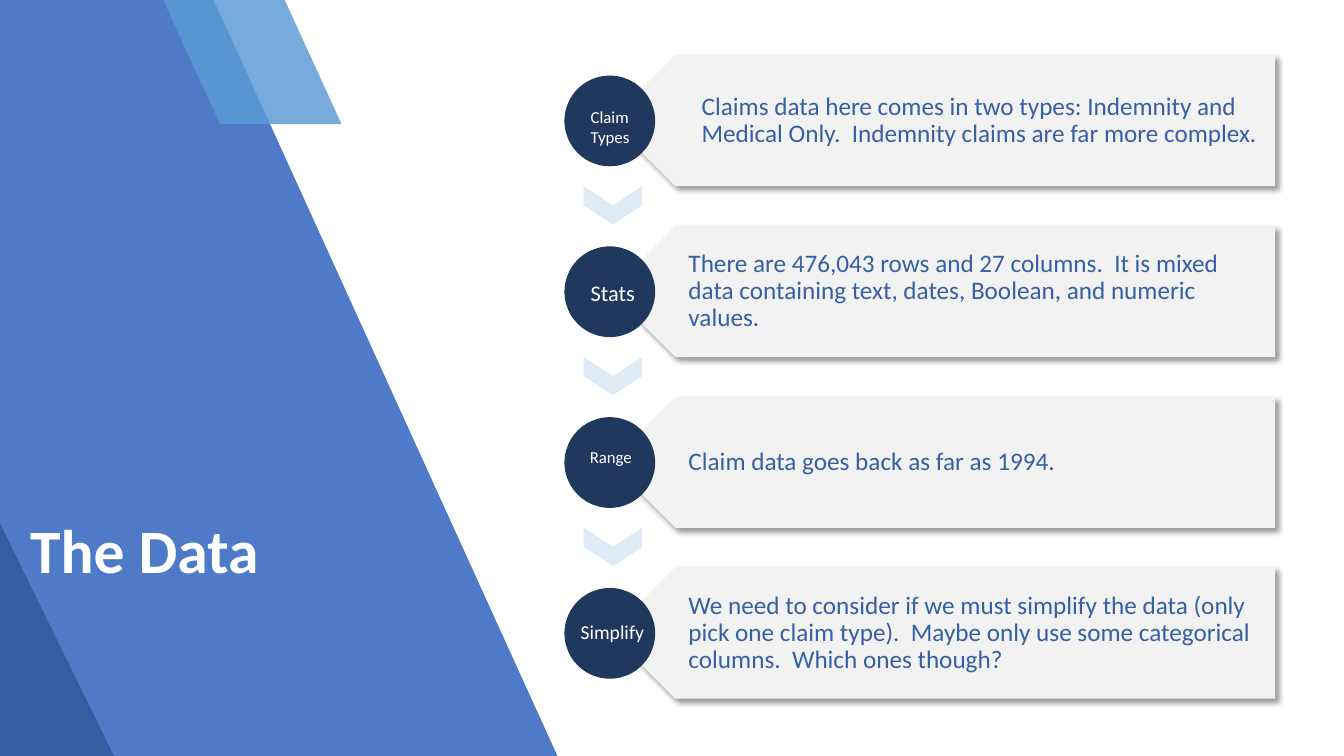
from pptx import Presentation
from pptx import util as u
from pptx.dml.color import RGBColor
from pptx.enum import shapes, text
from pptx.oxml import parse_xml
from pptx.oxml.ns import nsdecls, qn
from lxml import etree

Pt = u.Pt
FONT = "Calibri"
SLIDE_W, SLIDE_H = 960, 540
STEP = 122  # distance from one row to the next
CARD_H = 93.6

# circle label, label size, label left, label top, width, height, text inset, card text
ROWS = [
    ("Claim\nTypes", 12, 11.6, 33.2, 46, 36, 41.8,
     "Claims data here comes in two types: Indemnity and Medical Only.  "
     "Indemnity claims are far more complex."),
    ("Stats", 16, 11.6, 34.2, 46.8, 26.6, 32.4,
     "There are 476,043 rows and 27 columns.  It is mixed data containing "
     "text, dates, Boolean, and numeric values."),
    ("Range", 12, 11, 31.8, 46.8, 21.6, 32.4,
     "Claim data goes back as far as 1994."),
    ("Simplify", 14, 4.4, 33.6, 60.5, 24.5, 32.4,
     "We need to consider if we must simplify the data (only pick one claim "
     "type).  Maybe only use some categorical columns.  Which ones though?"),
]


def color(hex_code):
    return RGBColor.from_string(hex_code)


def paint(shape, hex_code, opacity=100):
    shape.shadow.inherit = False
    shape.fill.solid()
    shape.fill.fore_color.rgb = color(hex_code)
    shape.line.fill.background()
    if opacity < 100:
        tint = shape.element.spPr.find(".//" + qn("a:srgbClr"))
        etree.SubElement(tint, qn("a:alpha")).set("val", str(opacity * 1000))


def add_preset(slide, kind, left, top, width, height, hex_code, opacity=100):
    shape = slide.shapes.add_shape(kind, Pt(left), Pt(top), Pt(width), Pt(height))
    paint(shape, hex_code, opacity)
    return shape


def add_polygon(slide, points, hex_code, opacity):
    corners = [(Pt(x), Pt(y)) for x, y in points]
    builder = slide.shapes.build_freeform(*corners[0])
    builder.add_line_segments(corners[1:], close=True)
    paint(builder.convert_to_shape(), hex_code, opacity)


def add_text(slide, left, top, width, height, wording, size, hex_code):
    box = slide.shapes.add_textbox(Pt(left), Pt(top), Pt(width), Pt(height))
    frame = box.text_frame
    frame.text = wording
    for paragraph in frame.paragraphs:
        paragraph.font.name = FONT
        paragraph.font.size = Pt(size)
        paragraph.font.color.rgb = color(hex_code)
    return frame


def cast_shadow(shape):
    effects = shape.element.spPr.find(qn("a:effectLst"))
    effects.append(parse_xml(
        f'<a:outerShdw {nsdecls("a")} blurRad="{Pt(4)}" dist="{Pt(3)}" dir="2700000" '
        'algn="tl" rotWithShape="0"><a:srgbClr val="000000"><a:alpha val="40000"/>'
        '</a:srgbClr></a:outerShdw>'))


def title_panel(slide, left, top, width, height):
    # Slanted panel
    add_polygon(slide, [(left + width, top + height), (left + 152.6, top),
                        (left, top), (left, top + height)], "4472C4", 94)
    # Ribbon at the top
    ribbon = add_preset(slide, shapes.MSO_SHAPE.PARALLELOGRAM,
                        left + 116.6, top, 127.4, 88.6, "5B9BD5", 83)
    ribbon.adjustments[0] = 0.458
    ribbon.element.spPr.find(qn("a:xfrm")).set("flipH", "1")
    # Dark corner at the bottom
    add_polygon(slide, [(left + 81.4, top + height), (left, top + 373.7),
                        (left, top + height)], "2F5597", 76)
    # Title, brought in front of the panel
    title = slide.shapes.title
    slide.shapes.element.append(title.element)
    title.left, title.top = Pt(left + 14.4), Pt(top + 288)
    title.width, title.height = Pt(436.3), Pt(214.6)
    frame = title.text_frame
    frame.text = "The Data"
    frame.auto_size = text.MSO_AUTO_SIZE.NONE
    frame.vertical_anchor = text.MSO_ANCHOR.MIDDLE
    heading = frame.paragraphs[0]
    heading.alignment = text.PP_ALIGN.LEFT
    heading.line_spacing = 0.9
    heading.font.name = FONT
    heading.font.size = Pt(44)
    heading.font.bold = True
    heading.font.color.rgb = color("FFFFFF")


def data_row(slide, left, top, width, row):
    label, size, label_x, label_y, label_w, label_h, inset, wording = row
    # Card pointing at the circle
    card = add_preset(slide, shapes.MSO_SHAPE.PENTAGON,
                      left + 32.4, top, width - 32.4, CARD_H, "F2F2F2")
    card.rotation = 180
    cast_shadow(card)
    # Card text
    frame = add_text(slide, left + 56.2, top, width - 56.2, CARD_H, wording, 18, "375FA3")
    frame.word_wrap = True
    frame.vertical_anchor = text.MSO_ANCHOR.MIDDLE
    frame.margin_left, frame.margin_right = Pt(inset), Pt(10)
    frame.margin_top = frame.margin_bottom = Pt(5)
    frame.paragraphs[0].line_spacing = 0.9
    # Circle and its label
    add_preset(slide, shapes.MSO_SHAPE.OVAL, left, top + 14.6, 64.8, 64.8, "20385E")
    caption = add_text(slide, left + label_x, top + label_y, label_w, label_h,
                       label, size, "FFFFFF")
    caption.word_wrap = False


def data_rows(slide, left, top, width):
    for i, row in enumerate(ROWS):
        row_top = top + i * STEP
        data_row(slide, left, row_top, width, row)
        # Chevron down to the next row
        if i < len(ROWS) - 1:
            chevron = add_preset(slide, shapes.MSO_SHAPE.CHEVRON,
                                 left + 20.9, row_top + 86.4, 27.4, 41.8, "DEEBF7")
            chevron.rotation = 90


def main():
    deck = Presentation()
    deck.slide_width, deck.slide_height = Pt(SLIDE_W), Pt(SLIDE_H)
    slide = deck.slides.add_slide(deck.slide_layouts[5])
    title_panel(slide, 0, 0, 398.2, SLIDE_H)
    data_rows(slide, 403.2, 39.4, 507.6)
    deck.save("out.pptx")


if __name__ == "__main__":
    main()
